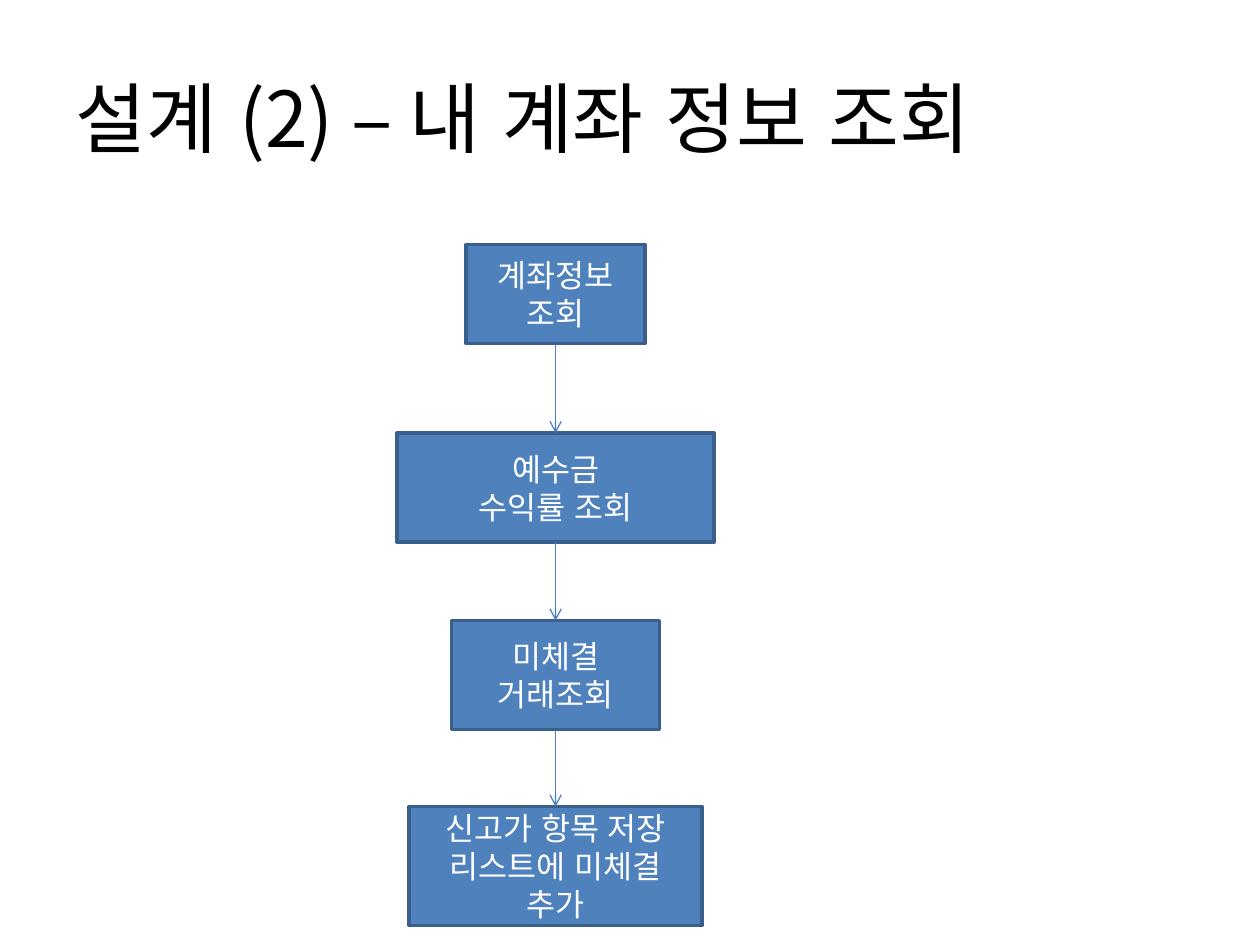
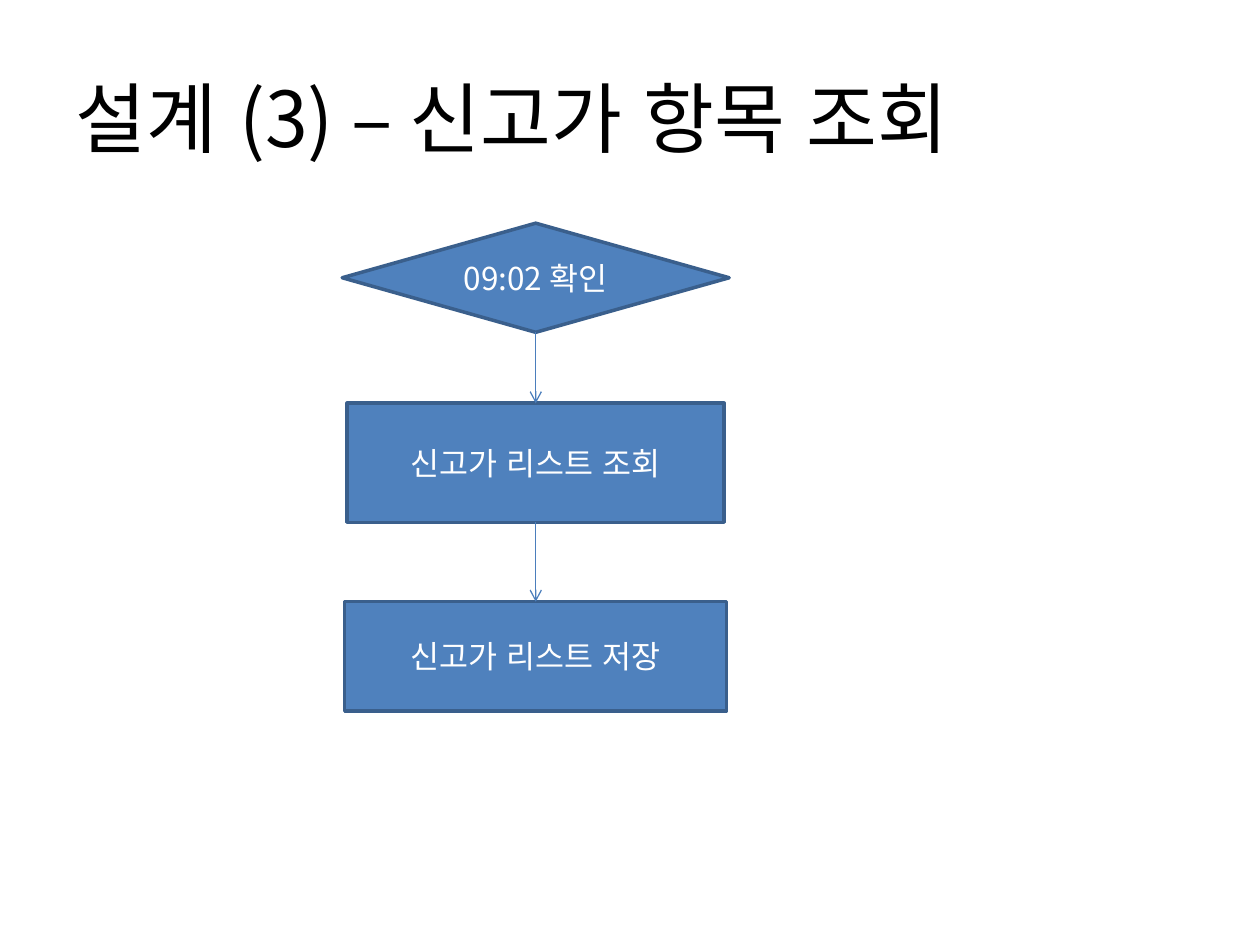
from collections import namedtuple

from lxml.etree import SubElement
from pptx import Presentation
from pptx.dml.color import RGBColor
from pptx.enum.lang import MSO_LANGUAGE_ID
from pptx.enum.shapes import MSO_CONNECTOR, MSO_SHAPE
from pptx.enum.text import MSO_ANCHOR, PP_ALIGN
from pptx.oxml.ns import qn
from pptx.util import Cm, Pt

FONT = "Noto Sans CJK KR"
BLACK, WHITE = "000000", "FFFFFF"
STEP_FILL, STEP_EDGE, ARROW = "4F81BD", "3A5F8C", "4B7EBC"
TITLE_BOX = (1.27, 0.76, 22.86, 3.18)
BOTTOM_SITE, TOP_SITE = 2, 0

Step = namedtuple("Step", "text width height gap kind")
RECT = MSO_SHAPE.RECTANGLE
PROCESS = MSO_SHAPE.FLOWCHART_PROCESS
DECISION = MSO_SHAPE.FLOWCHART_DECISION


def colour(code):
    return RGBColor.from_string(code)


def write(frame, text, size=18, ink=WHITE, align=PP_ALIGN.CENTER):
    frame.word_wrap = True
    frame.vertical_anchor = MSO_ANCHOR.MIDDLE
    frame.text = text
    for paragraph in frame.paragraphs:
        paragraph.alignment = align
        for run in paragraph.runs:
            run.font.name = FONT
            run.font.size = Pt(size)
            run.font.color.rgb = colour(ink)
            run.font.language_id = MSO_LANGUAGE_ID.KOREAN
            east_asian = SubElement(run.font._element, qn("a:ea"))
            east_asian.set("typeface", FONT)


def add_title(slide, text, box):
    title = slide.shapes.title
    title.left, title.top, title.width, title.height = map(Cm, box)
    write(title.text_frame, text, size=44, ink=BLACK, align=PP_ALIGN.LEFT)


def add_step(slide, step, left, top):
    node = slide.shapes.add_shape(
        step.kind, Cm(left), Cm(top), Cm(step.width), Cm(step.height))
    node.shadow.inherit = False
    node.fill.solid()
    node.fill.fore_color.rgb = colour(STEP_FILL)
    node.line.color.rgb = colour(STEP_EDGE)
    node.line.width = Pt(2)
    write(node.text_frame, step.text)
    return node


def add_arrow(slide, above, below):
    arrow = slide.shapes.add_connector(MSO_CONNECTOR.STRAIGHT, 0, 0, 0, 0)
    arrow.begin_connect(above, BOTTOM_SITE)
    arrow.end_connect(below, TOP_SITE)
    arrow.width = 0
    arrow.line.color.rgb = colour(ARROW)
    arrow.line.width = Pt(0.75)
    SubElement(arrow.line._get_or_add_ln(), qn("a:tailEnd")).set("type", "arrow")
    SubElement(arrow._element.spPr, qn("a:effectLst"))


def add_flow(slide, steps, box):
    left, top, width = box
    previous = None
    for step in steps:
        top += step.gap
        node = add_step(slide, step, left + (width - step.width) / 2, top)
        if previous is not None:
            add_arrow(slide, previous, node)
        previous = node
        top += step.height


def add_design_slide(deck, title, steps, box):
    slide = deck.slides.add_slide(deck.slide_layouts[5])
    add_title(slide, title, TITLE_BOX)
    add_flow(slide, steps, box)


ACCOUNT_STEPS = [
    Step("계좌정보 조회", 3.6, 2, 0, RECT),
    Step("예수금\n수익률 조회", 6.4, 2.2, 1.8, RECT),
    Step("미체결 거래조회", 4.2, 2.2, 1.58, RECT),
    Step("신고가 항목 저장 리스트에 미체결 추가", 5.9, 2.4, 1.55, PROCESS),
]
NEW_HIGH_STEPS = [
    Step("09:02 확인", 7.8, 2.2, 0, DECISION),
    Step("신고가 리스트 조회", 7.6, 2.4, 1.43, PROCESS),
    Step("신고가 리스트 저장", 7.7, 2.2, 1.6, PROCESS),
]

deck = Presentation()
deck.slide_width, deck.slide_height = Cm(25.4), Cm(19.05)
add_design_slide(deck, "설계 (2) – 내 계좌 정보 조회", ACCOUNT_STEPS, (8, 4.93, 6.4))
add_design_slide(deck, "설계 (3) – 신고가 항목 조회", NEW_HIGH_STEPS, (6.9, 4.5, 7.8))
deck.save("out.pptx")
